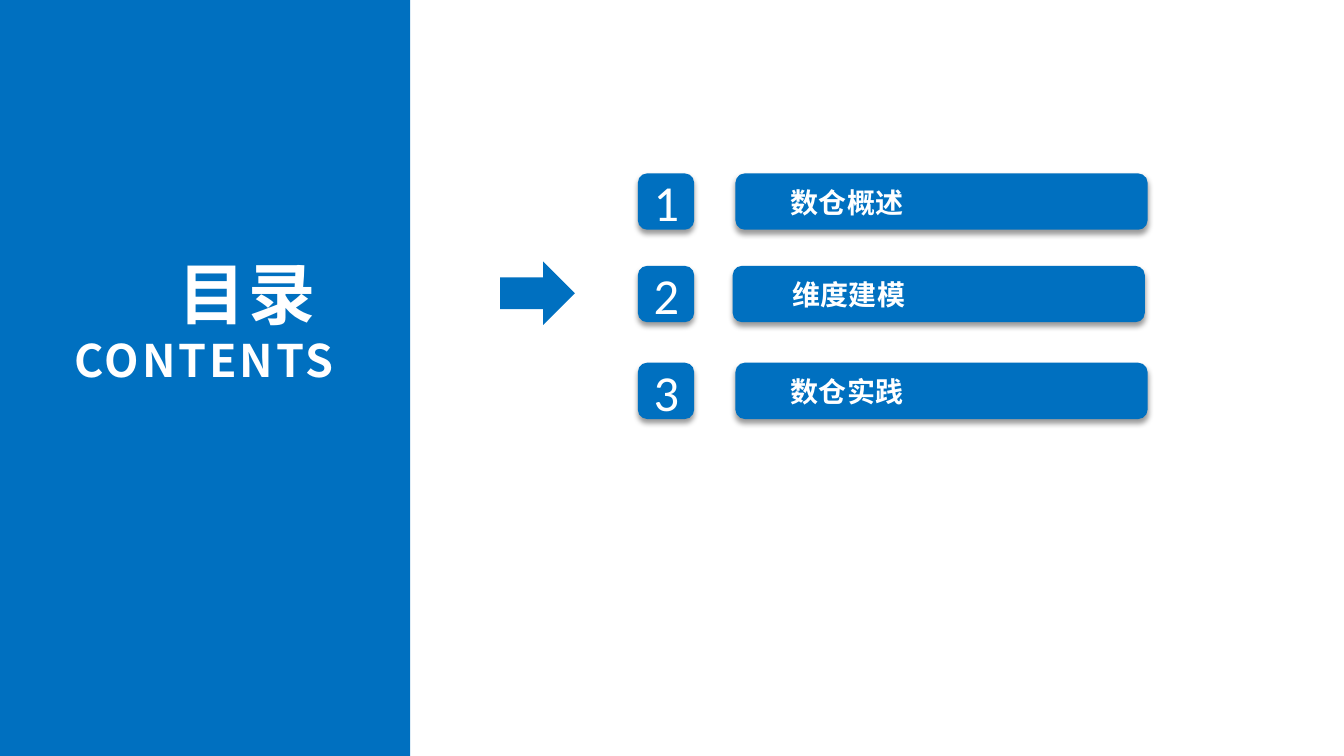
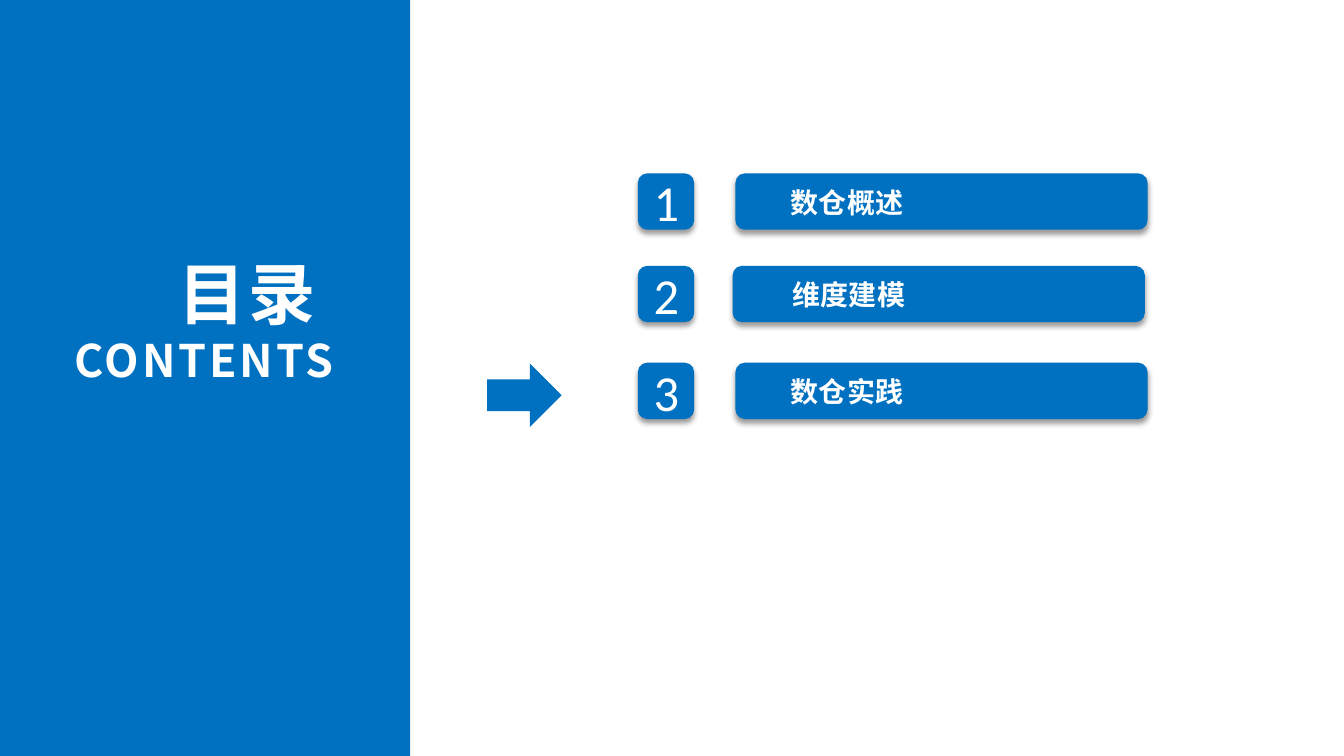
"""Build two contents slides, each with an arrow marking a chapter."""
from lxml.etree import SubElement
from pptx import Presentation
from pptx.dml.color import RGBColor
from pptx.enum.shapes import MSO_SHAPE
from pptx.enum.text import MSO_ANCHOR, MSO_AUTO_SIZE, PP_ALIGN
from pptx.oxml.ns import qn
from pptx.util import Cm, Pt

COLORS = {"blue": "0070C0", "white": "FFFFFF", "shadow": "000000"}
CJK, LATIN = "Noto Sans CJK SC", "Calibri"
SIDE = 1.42
CHAPTERS = [
    ("数仓概述", 4.37, 18.54, 19.61),
    ("维度建模", 6.7, 18.47, 19.66),
    ("数仓实践", 9.14, 18.54, 19.61),
]
ARROWS = [(12.61, 6.59), (12.28, 9.16)]


class Deck:
    def __init__(self):
        self.prs = Presentation()
        self.prs.slide_width, self.prs.slide_height = Cm(33.88), Cm(19.05)
        self.s = None

    def new_slide(self):
        self.s = self.prs.slides.add_slide(self.prs.slide_layouts[6])

    def shape(self, kind, box, parent=None, shadow=False):
        sp = (parent or self.s).shapes.add_shape(kind, *map(Cm, box))
        sp.fill.solid()
        sp.fill.fore_color.rgb = RGBColor.from_string(COLORS["blue"])
        sp.line.fill.background()
        sp.shadow.inherit = False
        if shadow:
            effects = sp._element.spPr.find(qn("a:effectLst"))
            outer = SubElement(effects, qn("a:outerShdw"), blurRad=str(Pt(4)),
                               dist=str(Pt(3)), dir="5400000", algn="t", rotWithShape="0")
            color = SubElement(outer, qn("a:srgbClr"), val=COLORS["shadow"])
            SubElement(color, qn("a:alpha"), val="40000")
        return sp

    def set_text(self, sp, lines, font, align, bold=False, spacing=0):
        tf = sp.text_frame
        tf.word_wrap = True
        tf.margin_left = tf.margin_right = Cm(0.33)
        tf.margin_top = tf.margin_bottom = Cm(0.18)
        for i, (text, size) in enumerate(lines):
            p = tf.add_paragraph() if i else tf.paragraphs[0]
            p.text, p.alignment = text, align
            p.font.name, p.font.size, p.font.bold = font, Pt(size), bold
            p.font.color.rgb = RGBColor.from_string(COLORS["white"])
            props = p.font._rPr
            props.set("spc", str(spacing * 100))
            SubElement(props, qn("a:ea"), typeface=font)
        return tf

    def textbox(self, box, lines, align, parent=None, spacing=0):
        sp = (parent or self.s).shapes.add_textbox(*map(Cm, box))
        tf = self.set_text(sp, lines, CJK, align, True, spacing)
        tf.auto_size = MSO_AUTO_SIZE.SHAPE_TO_FIT_TEXT

    def badge(self, number, top):
        sp = self.shape(MSO_SHAPE.ROUNDED_RECTANGLE, (16.08, top, SIDE, SIDE), shadow=True)
        tf = self.set_text(sp, [(str(number), 36)], LATIN, PP_ALIGN.CENTER)
        tf.vertical_anchor = MSO_ANCHOR.MIDDLE

    def bar(self, text, top, left, text_left):
        group = self.s.shapes.add_group_shape()
        self.shape(MSO_SHAPE.ROUNDED_RECTANGLE, (left, top, 10.39, SIDE), group, True)
        self.textbox((text_left, top + 0.12, 7.37, 1.19), [(text, 20)], PP_ALIGN.LEFT, group)

    def panel(self):
        self.shape(MSO_SHAPE.RECTANGLE, (0, 0, 10.34, 19.05))

    def title(self):
        self.textbox((0.94, 6.17, 7.8, 3.76), [("目录 ", 48), ("CONTENTS", 32)],
                     PP_ALIGN.RIGHT, spacing=2)

    def arrow(self, left, top):
        self.shape(MSO_SHAPE.RIGHT_ARROW, (left, top, 1.88, 1.6))

    def contents(self, arrow):
        self.new_slide()
        self.panel()
        for number, (text, top, left, text_left) in enumerate(CHAPTERS, 1):
            self.badge(number, top)
            self.bar(text, top, left, text_left)
        self.title()
        self.arrow(*arrow)


def main():
    deck = Deck()
    for arrow in ARROWS:
        deck.contents(arrow)
    deck.prs.save("out.pptx")


if __name__ == "__main__":
    main()
